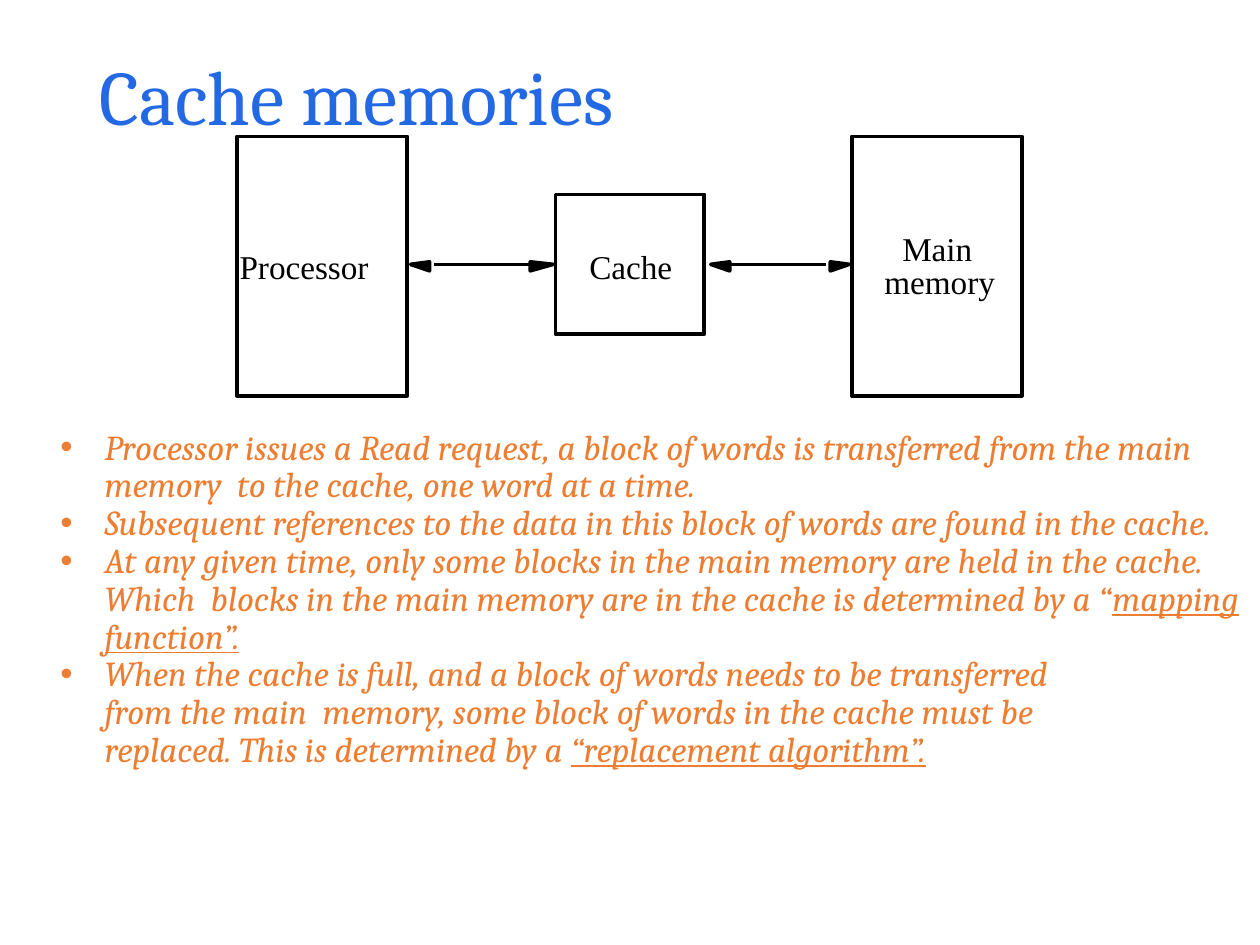
from lxml import etree
from pptx import Presentation
from pptx.dml.color import RGBColor
from pptx.enum.shapes import MSO_CONNECTOR, MSO_SHAPE
from pptx.enum.text import MSO_ANCHOR
from pptx.oxml.ns import qn
from pptx.util import Cm, Pt

STRAIGHT = MSO_CONNECTOR.STRAIGHT
RECTANGLE = MSO_SHAPE.RECTANGLE
MIDDLE = MSO_ANCHOR.MIDDLE

BLUE, ORANGE, BLACK = "2469E4", "ED7D31", "000000"
HEADING_FONT, LABEL_FONT = "Cambria", "Times New Roman"


def colour(value):
    return RGBColor.from_string(value)


class SlideWriter:
    line_width = Pt(2.13)
    hang = Cm(0.89)
    margin = Cm(1.22)

    def __init__(self, page):
        self.page = page
        self.shapes = page.shapes

    def text_box(self, left, top, width, height):
        box = self.shapes.add_textbox(Cm(left), Cm(top), Cm(width), Cm(height))
        box.text_frame.word_wrap = True
        return box.text_frame

    def style(self, para, name, size, tone, italic=False):
        font = para.font
        font.name, font.size, font.italic = name, Pt(size), italic
        font.color.rgb = colour(tone)

    def outline(self, shape):
        shape.shadow.inherit = False
        shape.line.color.rgb = colour(BLACK)
        shape.line.width = self.line_width

    def title(self, text, *area):
        frame = self.text_box(*area)
        frame.vertical_anchor = MIDDLE
        para = frame.paragraphs[0]
        para.text = text
        para.line_spacing = 0.9
        self.style(para, HEADING_FONT, 44, BLUE)

    def bullets(self, items, *area):
        frame = self.text_box(*area)
        for index, (marked, text, term) in enumerate(items):
            para = frame.add_paragraph() if index else frame.paragraphs[0]
            para.line_spacing = 0.9
            para.space_before = Pt(0)
            self.indent(para, marked)
            self.style(para, HEADING_FONT, 20, ORANGE, italic=True)
            para.add_run().text = text
            if term:
                span = para.add_run()
                span.text = term
                span.font.underline = True

    def indent(self, para, marked):
        props = para._p.get_or_add_pPr()
        props.set("marL", str(self.margin))
        props.set("indent", str(-self.hang if marked else 0))
        if marked:
            tint = etree.SubElement(props, qn("a:buClr"))
            etree.SubElement(tint, qn("a:srgbClr"), val=ORANGE)
            etree.SubElement(props, qn("a:buFont"), typeface="Arial")
            etree.SubElement(props, qn("a:buChar"), char="•")

    def label(self, text, left, top, width):
        frame = self.text_box(left, top, width, 0.81)
        frame.margin_left = frame.margin_right = 0
        frame.margin_top = frame.margin_bottom = 0
        para = frame.paragraphs[0]
        para.text = text
        self.style(para, LABEL_FONT, 19, BLACK)

    def block(self, left, top, width, height):
        shape = self.shapes.add_shape(
            RECTANGLE, Cm(left), Cm(top), Cm(width), Cm(height))
        shape.fill.background()
        self.outline(shape)

    def arrow_head(self, tip, base, y):
        builder = self.shapes.build_freeform(Cm(base), Cm(y - 0.05))
        points = [(tip, y), (base, y + 0.13), (base, y)]
        builder.add_line_segments([(Cm(a), Cm(b)) for a, b in points], close=True)
        shape = builder.convert_to_shape()
        shape.fill.solid()
        shape.fill.fore_color.rgb = colour(BLACK)
        self.outline(shape)

    def shaft(self, start, end, y):
        line = self.shapes.add_connector(STRAIGHT, Cm(start), Cm(y), Cm(end), Cm(y))
        line.line.color.rgb = colour(BLACK)
        line.line.width = self.line_width
        etree.SubElement(line._element.spPr, qn("a:effectLst"))


BULLETS = [
    (True, "Processor issues a Read request, a block of words is transferred "
     "from the main memory  to the cache, one word at a time.", ""),
    (True, "Subsequent references to the data in this block of words are found "
     "in the cache.", ""),
    (True, "At any given time, only some blocks in the main memory are held in "
     "the cache. Which  blocks in the main memory are in the cache is "
     "determined by a “", "mapping function”."),
    (True, "When the cache is full, and a block of words needs to be "
     "transferred", ""),
    (False, "from the main  memory, some block of words in the cache must be", ""),
    (False, "replaced. This is determined by a ", "“replacement algorithm”."),
]
BLOCKS = [
    (4.78, 2.75, 3.43, 5.23),   # processor
    (11.2, 3.92, 3, 2.82),      # cache
    (17.17, 2.75, 3.43, 5.23),  # main memory
]
# Widths leave room for each name on one line
LABELS = [
    ("Processor", 4.83, 4.97, 3),
    ("Cache", 11.88, 4.97, 2),
    ("Main", 18.19, 4.6, 1.8),
    ("memory", 17.83, 5.27, 2.6),
]
# Left tip, left base, shaft start, shaft end, right base, right tip
ARROWS = [
    (8.28, 8.66, 8.74, 10.69, 10.69, 11.15),
    (14.33, 14.71, 14.71, 16.66, 16.74, 17.12),
]
ARROW_Y = 5.33


def main():
    deck = Presentation()
    deck.slide_width, deck.slide_height = Cm(25.4), Cm(19.05)
    writer = SlideWriter(deck.slides.add_slide(deck.slide_layouts[6]))

    # Title and explanation
    writer.title("Cache memories", 1.75, 0.87, 21.92, 2.31)
    writer.bullets(BULLETS, 0.64, 8.54, 24.76, 10.5)

    # Two-way arrows
    for left_tip, left_base, start, end, right_base, right_tip in ARROWS:
        writer.arrow_head(left_tip, left_base, ARROW_Y)
        writer.arrow_head(right_tip, right_base, ARROW_Y)
        writer.shaft(start, end, ARROW_Y)

    # Blocks and their names
    for label in LABELS:
        writer.label(*label)
    for block in BLOCKS:
        writer.block(*block)

    deck.save("out.pptx")


if __name__ == "__main__":
    main()
